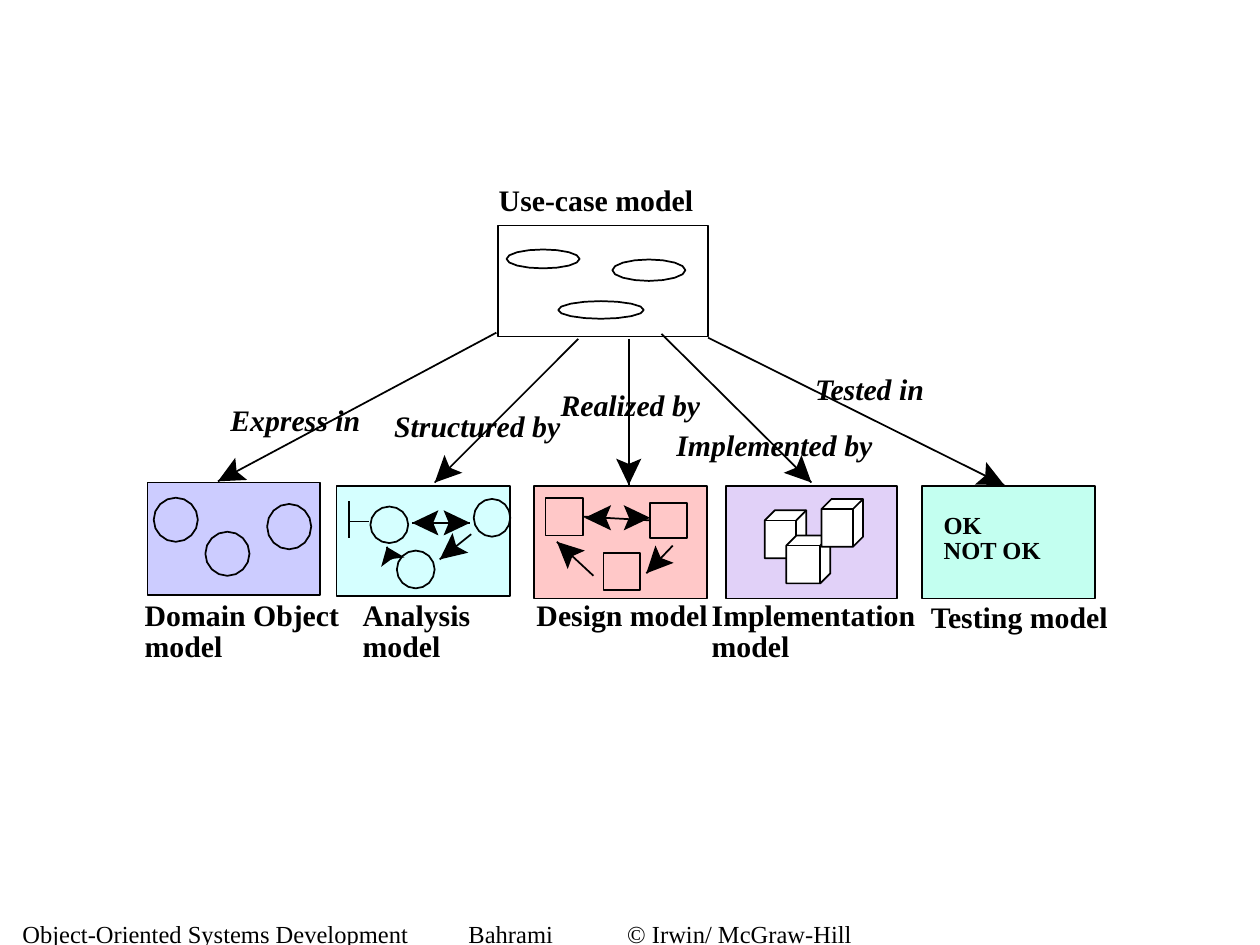
import math
from pptx import Presentation, util as u
from pptx.dml.color import RGBColor
from pptx.enum import shapes, text
from pptx.oxml.ns import qn
from lxml import etree

HUES = {"ink": "000000", "paper": "FFFFFF", "domain": "CCCCFF", "study": "D5FFFF",
        "design": "FFC8C8", "build": "E1D1F8", "test": "C3FFF0"}
LABEL = {"name": "Times New Roman", "size": u.Pt(17), "bold": True}
LINK = {**LABEL, "italic": True}
NOTE = {**LABEL, "size": u.Pt(14)}
FOOT = {**NOTE, "bold": False}


class Board:
    """Drawing style together with the slide being drawn."""

    def __init__(self, slide):
        self.slide = slide
        self.items = slide.shapes

    def hue(self, key):
        return RGBColor.from_string(HUES[key])

    def paint(self, shape, fill=None, edge=True):
        shape.shadow.inherit = False
        if fill:
            shape.fill.solid()
            shape.fill.fore_color.rgb = self.hue(fill)
        else:
            shape.fill.background()
        if edge:
            shape.line.color.rgb = self.hue("ink")
            shape.line.width = u.Pt(1)
        else:
            shape.line.fill.background()
        return shape

    def box(self, x, y, w, h, fill=None):
        place = map(u.Inches, (x, y, w, h))
        return self.paint(self.items.add_shape(shapes.MSO_SHAPE.RECTANGLE, *place), fill)

    def poly(self, points, fill=None, edge=True):
        first, *rest = [(u.Inches(x), u.Inches(y)) for x, y in points]
        form = self.items.build_freeform(*first, scale=1.0)
        form.add_line_segments(rest, close=True)
        return self.paint(form.convert_to_shape(), fill, edge)

    def oval(self, x, y, w, h, sides=16):
        """Many-sided outline of an ellipse."""
        turns = [2 * math.pi * i / sides for i in range(sides)]
        self.poly([(x + w / 2 * (1 - math.cos(t)), y + h / 2 * (1 - math.sin(t)))
                   for t in turns])

    def line(self, start, end):
        ends = map(u.Inches, (*start, *end))
        line = self.items.add_connector(shapes.MSO_CONNECTOR.STRAIGHT, *ends)
        line.line.color.rgb = self.hue("ink")
        line.line.width = u.Pt(1)
        etree.SubElement(line._element.spPr, qn("a:effectLst"))
        return line

    def head(self, start, tip, size=0.21):
        """Notched arrowhead at tip, pointing away from start."""
        dx, dy = tip[0] - start[0], tip[1] - start[1]
        span = math.hypot(dx, dy)
        dx, dy = dx / span, dy / span

        def spot(back, side):
            return tip[0] - back * dx - side * dy, tip[1] - back * dy + side * dx

        self.poly([tip, spot(size, 0.1), spot(size * 0.8, 0), spot(size, -0.1)],
                  "ink", edge=False)

    def arrow(self, start, tip, both=False, size=0.21):
        self.head(start, tip, size)
        if both:
            self.head(tip, start, size)
        return self.line(start, tip)

    def cube(self, x, y, w, h=0.38, deep=0.08):
        right, low = x + w, y + h
        front = (right - deep, y + deep)
        self.poly([(x + deep, y), (x, y + deep), (x, low), (front[0], low),
                   (right, low - deep), (right, y)], "paper")
        for end in ((x, front[1]), (right, y), (front[0], low)):
            self.line(front, end)

    def label(self, words, x, y, w, form, h=0.38):
        area = self.items.add_textbox(*map(u.Inches, (x, y, w, h)))
        frame = area.text_frame
        frame.word_wrap = False
        frame.auto_size = text.MSO_AUTO_SIZE.SHAPE_TO_FIT_TEXT
        run = frame.paragraphs[0].add_run()
        run.text = words
        run.font.color.rgb = self.hue("ink")
        for key, value in form.items():
            setattr(run.font, key, value)
        return area

    def foot(self, words, stops):
        """Footer line whose parts sit at tab stops."""
        frame = self.label("\t".join(words), 0.08, 7.33, 7, FOOT, 0.16).text_frame
        frame.auto_size = text.MSO_AUTO_SIZE.NONE
        frame.word_wrap = True
        frame.vertical_anchor = text.MSO_ANCHOR.MIDDLE
        tabs = etree.Element(qn("a:tabLst"))
        for stop in stops:
            etree.SubElement(tabs, qn("a:tab"), pos=str(u.Inches(stop)), algn="l")
        frame.paragraphs[0]._p.get_or_add_pPr().append(tabs)


def models(board):
    board.box(3.95, 1.79, 1.67, 0.88)
    for place in ((1.17, 3.83, 1.37, 0.89, "domain"), (2.67, 3.86, 1.38, 0.87, "study"),
                  (4.24, 3.86, 1.37, 0.89, "design"), (5.76, 3.86, 1.36, 0.89, "build"),
                  (7.32, 3.86, 1.37, 0.89, "test")):
        board.box(*place)
    for start, tip in (((3.94, 2.64), (1.73, 3.82)), ((4.59, 2.69), (3.45, 3.83)),
                       ((4.99, 2.69), (4.99, 3.85)), ((5.25, 2.65), (6.44, 3.83)),
                       ((5.62, 2.68), (7.97, 3.85))):
        board.arrow(start, tip)


def labels(board):
    for words, x, y, w in (("Express in", 1.73, 3.14, 1.23),
                           ("Structured by", 3.03, 3.19, 1.52),
                           ("Realized by", 4.35, 3.02, 1.31),
                           ("Implemented by", 5.27, 3.34, 1.76),
                           ("Tested in", 6.37, 2.89, 1.09)):
        board.label(words, x, y, w, LINK)
    board.label("Use-case model", 3.86, 1.39, 1.75, LABEL)
    for words, x, w in (("Domain Object", 1.05, 1.75), ("Analysis", 2.78, 1.06),
                        ("Implementation", 5.55, 1.82)):
        board.label(words, x, 4.69, w, LABEL)
        board.label("model", x, 4.93, 0.82, LABEL)
    board.label("Design model", 4.16, 4.69, 1.56, LABEL)
    board.label("Testing model", 7.29, 4.7, 1.63, LABEL)
    board.label("OK", 7.39, 4, 0.51, NOTE, 0.33)
    board.label("NOT OK", 7.39, 4.2, 0.98, NOTE, 0.33)


def icons(board):
    cases = ((4.02, 1.98, 0.58, 0.15), (4.86, 2.06, 0.58, 0.17), (4.43, 2.39, 0.68, 0.14))
    domain = ((1.22, 3.95, 0.35, 0.35), (1.63, 4.22, 0.35, 0.35), (2.12, 4, 0.35, 0.36))
    study = ((2.94, 4.02, 0.3, 0.29), (3.15, 4.37, 0.3, 0.3), (3.76, 3.96, 0.29, 0.3))
    for place in cases + domain + study:
        board.oval(*place)

    board.line((2.77, 3.98), (2.77, 4.27))
    board.line((2.77, 4.14), (2.93, 4.14))
    board.arrow((3.27, 4.15), (3.73, 4.15), both=True)
    board.arrow((3.74, 4.24), (3.49, 4.44))
    board.arrow((3.11, 4.44), (3.07, 4.34), size=0.13)

    left = board.box(4.33, 3.95, 0.3, 0.3)
    right = board.box(5.16, 3.99, 0.29, 0.28)
    board.box(4.79, 4.39, 0.29, 0.29)
    pair = board.arrow((4.64, 4.11), (5.16, 4.11), both=True)
    pair.begin_connect(left, 3)
    pair.end_connect(right, 1)
    board.arrow((5.34, 4.33), (5.13, 4.55))
    board.arrow((4.71, 4.57), (4.42, 4.3))

    for place in ((6.07, 4.05, 0.33), (6.24, 4.25, 0.35), (6.52, 3.96, 0.33)):
        board.cube(*place)


def main():
    deck = Presentation()
    deck.slide_width, deck.slide_height = u.Inches(10), u.Inches(7.5)
    board = Board(deck.slides.add_slide(deck.slide_layouts[6]))
    board.foot(("Object-Oriented Systems Development", "Bahrami",
                "© Irwin/ McGraw-Hill"), (3.54, 4.8))
    models(board)
    icons(board)
    labels(board)
    deck.save("out.pptx")


if __name__ == "__main__":
    main()
